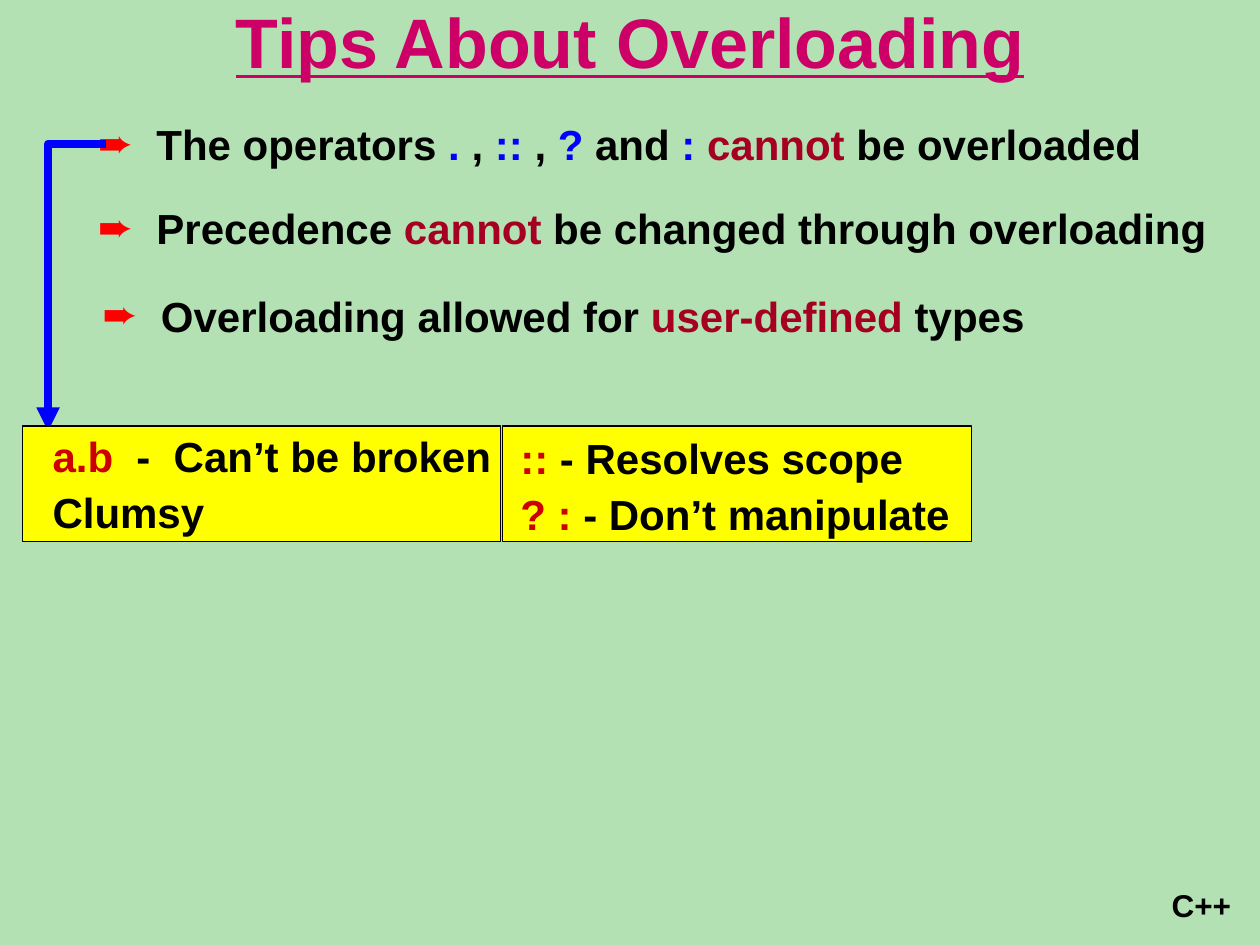
from lxml import etree
from pptx import Presentation
from pptx.dml.color import RGBColor
from pptx.enum import shapes, text
from pptx.oxml import ns
from pptx.util import Cm, Pt

HUES = {
    "back": "B3E1B3", "title": "CC0066", "ink": "000000", "sign": "0000FF",
    "stress": "A50021", "code": "CC0000", "note": "FFFF00", "mark": "FF0000",
}


def hue(name):
    return RGBColor.from_string(HUES[name])


def write(para, parts, size=24):
    """Add each (text, colour) pair as a bold run."""
    for words, name in parts:
        run = para.add_run()
        run.text = words
        run.font.name = "Arial"
        run.font.size = Pt(size)
        run.font.bold = True
        run.font.color.rgb = hue(name)


deck = Presentation()
deck.slide_width, deck.slide_height = Cm(25.4), Cm(19.05)
slide = deck.slides.add_slide(deck.slide_layouts[1])
slide.background.fill.solid()
slide.background.fill.fore_color.rgb = hue("back")

# Title
title = slide.shapes.title
title.left, title.top, title.width, title.height = Cm(1.9), Cm(0), Cm(21.6), Cm(1.8)
frame = title.text_frame
frame.auto_size = text.MSO_AUTO_SIZE.NONE
frame.vertical_anchor = text.MSO_ANCHOR.BOTTOM
frame.margin_top = 0
para = frame.paragraphs[0]
para.alignment = text.PP_ALIGN.CENTER
write(para, [("Tips About Overloading", "title")], 40)
para.runs[0].font.underline = True

# Tips: space before in points, left margin in cm, runs
tips = [
    (0, 1.83, [("The operators", "ink"), (" . ", "sign"), (",", "ink"),
               (" :: ", "sign"), (",", "ink"), (" ?", "sign"), (" and", "ink"),
               (" : ", "sign"), ("cannot", "stress"), (" be overloaded", "ink")]),
    (18, 1.83, [("Precedence ", "ink"), ("cannot", "stress"),
                (" be changed through overloading", "ink")]),
    (20, 1.92, [("Overloading allowed for ", "ink"), ("user-defined", "stress"),
                (" types", "ink")]),
]
body = slide.placeholders[1]
body.left, body.top, body.width, body.height = Cm(1.07), Cm(2.22), Cm(24), Cm(4.8)
frame = body.text_frame
frame.auto_size = text.MSO_AUTO_SIZE.NONE
for i, (gap, left, parts) in enumerate(tips):
    para = frame.add_paragraph() if i else frame.paragraphs[0]
    para.line_spacing = Pt(30)
    para.space_before = Pt(gap)
    props = para._p.get_or_add_pPr()
    props.set("marL", str(Cm(left)))
    props.set("indent", str(Cm(-1.18)))
    tint = etree.SubElement(props, ns.qn("a:buClr"))
    etree.SubElement(tint, ns.qn("a:srgbClr"), val=HUES["mark"])
    etree.SubElement(props, ns.qn("a:buChar"), char="➨")
    write(para, parts)

# Arrow from the first tip down to the notes
pen = slide.shapes.build_freeform(Cm(2.13), Cm(2.9))
pen.add_line_segments([(Cm(0.97), Cm(2.9)), (Cm(0.97), Cm(8.69))], close=False)
arrow = pen.convert_to_shape()
arrow.shadow.inherit = False
arrow.fill.background()
arrow.line.color.rgb = hue("sign")
arrow.line.width = Pt(4.5)
line = arrow.line._get_or_add_ln()
etree.SubElement(line, ns.qn("a:round"))
etree.SubElement(line, ns.qn("a:tailEnd"), type="triangle")

# Notes: left, width, text margins left and top, lines
notes = [
    (0.46, 9.63, 0.6, 0.08, [[("a.b", "code"), ("  -  Can’t be broken", "ink")],
                             [("Clumsy", "ink")]]),
    (10.13, 9.45, 0.36, 0.13, [[("::", "code"), (" - Resolves scope", "ink")],
                               [("? :", "code"), (" - Don’t manipulate", "ink")]]),
]
for left, width, side, head, lines in notes:
    note = slide.shapes.add_shape(shapes.MSO_SHAPE.RECTANGLE,
                                  Cm(left), Cm(8.59), Cm(width), Cm(2.33))
    note.shadow.inherit = False
    note.fill.solid()
    note.fill.fore_color.rgb = hue("note")
    note.line.color.rgb = hue("ink")
    note.line.width = Pt(0.75)
    frame = note.text_frame
    frame.word_wrap = True
    frame.vertical_anchor = text.MSO_ANCHOR.TOP
    frame.margin_left, frame.margin_top = Cm(side), Cm(head)
    frame.margin_right = frame.margin_bottom = 0
    for i, parts in enumerate(lines):
        para = frame.add_paragraph() if i else frame.paragraphs[0]
        para.alignment = text.PP_ALIGN.LEFT
        para.space_before = Pt(3.4 * i)
        write(para, parts)

# Course label
label = slide.shapes.add_textbox(Cm(23.37), Cm(17.73), Cm(1.7), Cm(1.02))
label.text_frame.word_wrap = False
write(label.text_frame.paragraphs[0], [("C++", "ink")], 18)

deck.save("out.pptx")
